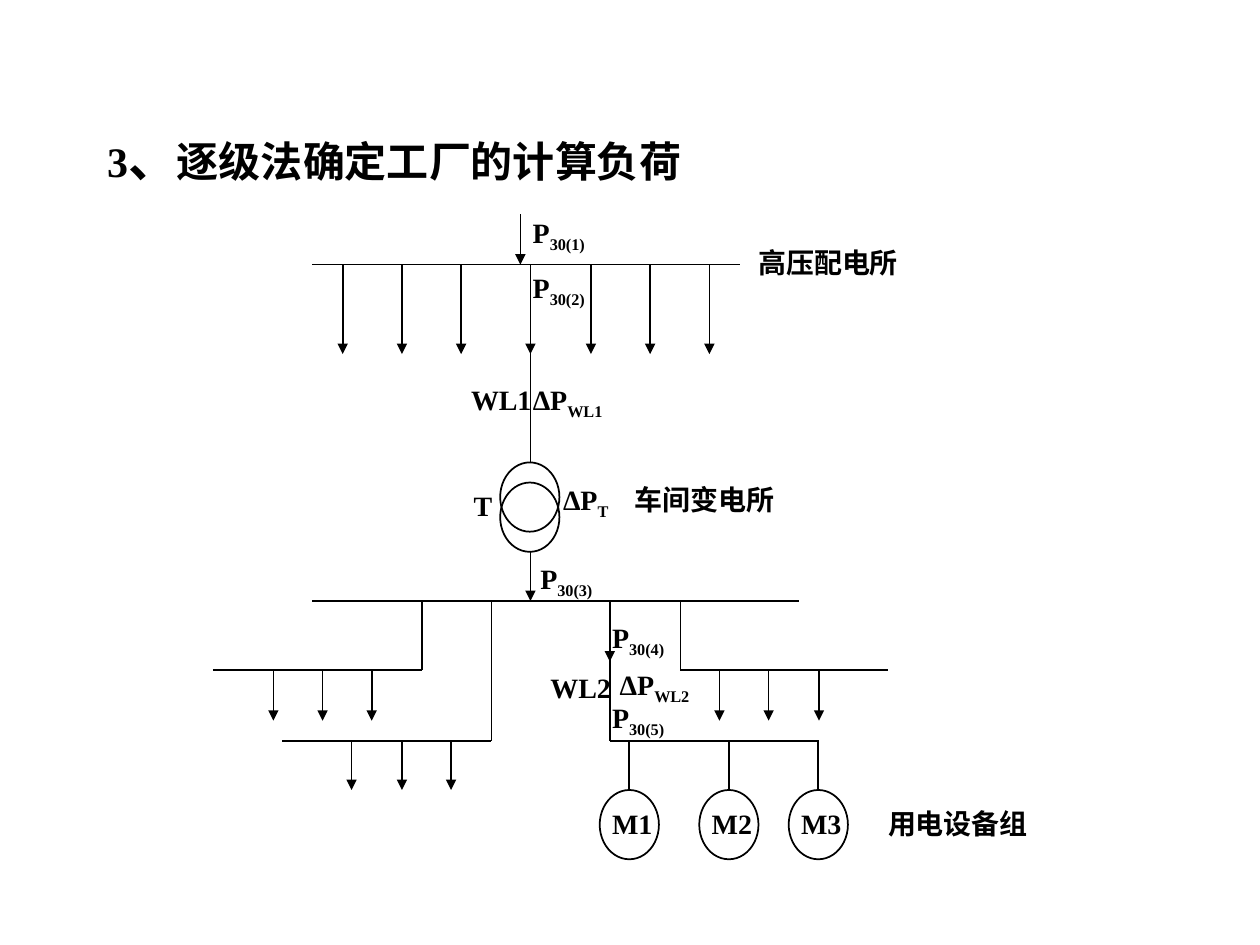
import pptx
import pptx.util
import pptx.dml.color
import pptx.enum.shapes
import pptx.enum.text
import pptx.oxml
import pptx.oxml.ns
from lxml import etree

Inches = pptx.util.Inches
COLORS = {"ink": "000000", "paper": "FFFFFF"}
LATIN_FONT = "Times New Roman"
CHINESE_FONT = "Noto Sans CJK SC"
CIRCLE_WIDTH, CIRCLE_HEIGHT = 0.47, 0.55
LABEL_HEIGHT = 0.37

HIGH_BUS, LOW_BUS, UPPER_BRANCH, LOWER_BRANCH = 2.1, 4.77, 5.32, 5.88
MAIN_FEED, MOTOR_FEED = 4.21, 4.84
MOTOR_TOP = 6.27

BUSES = [
    (2.48, 5.87, HIGH_BUS),
    (2.48, 6.34, LOW_BUS),
    (1.69, 3.35, UPPER_BRANCH),
    (5.4, 7.05, UPPER_BRANCH),
    (2.24, 3.9, LOWER_BRANCH),
    (MOTOR_FEED, 6.5, LOWER_BRANCH),
]
RISERS = [
    (MAIN_FEED, 2.73, 3.67),
    (3.35, LOW_BUS, UPPER_BRANCH),
    (5.4, LOW_BUS, UPPER_BRANCH),
    (3.9, LOW_BUS, LOWER_BRANCH),
    (MOTOR_FEED, LOW_BUS, LOWER_BRANCH),
]
FEEDER_ROWS = [
    ([2.72, 3.19, 3.66, MAIN_FEED, 4.69, 5.16, 5.63], HIGH_BUS, 2.81),
    ([2.17, 2.56, 2.95, 5.71, 6.1, 6.5], UPPER_BRANCH, 5.72),
    ([2.79, 3.19, 3.58], LOWER_BRANCH, 6.27),
    ([4.13], 1.7, HIGH_BUS),
    ([MAIN_FEED], 4.38, LOW_BUS),
    ([MOTOR_FEED], 5.17, 5.25),
]
MOTORS = [("M1", 4.76), ("M2", 5.55), ("M3", 6.26)]
QUANTITIES = [
    ("P", "30(1)", 4.13, 1.66, 0.73),
    ("P", "30(2)", 4.13, 2.1, 0.73),
    ("WL1", "", 3.64, 2.99, 0.73),
    ("ΔP", "WL1", 4.13, 2.99, 0.81),
    ("T", "", 3.66, 3.83, 0.39),
    ("ΔP", "T", 4.37, 3.78, 0.79),
    ("P", "30(3)", 4.19, 4.41, 0.73),
    ("P", "30(4)", 4.76, 4.88, 0.73),
    ("WL2", "", 4.27, 5.27, 0.73),
    ("ΔP", "WL2", 4.82, 5.25, 0.81),
    ("P", "30(5)", 4.76, 5.51, 0.73),
]
STATIONS = [
    ("高压配电所", 5.92, 1.9),
    ("车间变电所", 4.94, 3.78),
    ("用电设备组", 6.95, 6.35),
]


def ink(name):
    return pptx.dml.color.RGBColor.from_string(COLORS[name])


def format_span(span, size, latin=LATIN_FONT):
    span.font.size = pptx.util.Pt(size)
    span.font.bold = True
    span.font.name = latin
    span.font.color.rgb = ink("ink")
    east_asian = etree.SubElement(span.font._element, pptx.oxml.ns.qn("a:ea"))
    east_asian.set("typeface", CHINESE_FONT)


def add_span(para, text, size, latin=LATIN_FONT):
    span = para.add_run()
    span.text = text
    format_span(span, size, latin)
    return span


def add_title(page):
    title = page.shapes.title
    title.left, title.top = Inches(0.75), Inches(0.99)
    title.width, title.height = Inches(5.73), Inches(0.55)
    frame = title.text_frame
    frame.auto_size = pptx.enum.text.MSO_AUTO_SIZE.NONE
    frame.vertical_anchor = pptx.enum.text.MSO_ANCHOR.BOTTOM
    para = frame.paragraphs[0]
    para.alignment = pptx.enum.text.PP_ALIGN.LEFT
    add_span(para, "3", 24)
    add_span(para, "、", 28)
    add_span(para, "逐级法确定工厂的计算负荷", 24, CHINESE_FONT)


def add_line(page, start, end, arrow=False):
    points = [Inches(value) for value in (*start, *end)]
    line = page.shapes.add_connector(pptx.enum.shapes.MSO_CONNECTOR.STRAIGHT, *points)
    line.line.color.rgb = ink("ink")
    line.line.width = pptx.util.Pt(1)
    if arrow:
        tail = etree.SubElement(line.line._get_or_add_ln(), pptx.oxml.ns.qn("a:tailEnd"))
        tail.set("type", "triangle")
    etree.SubElement(line._element.spPr, pptx.oxml.ns.qn("a:effectLst"))
    return line


def add_circle(page, left, top):
    circle = page.shapes.add_shape(
        pptx.enum.shapes.MSO_SHAPE.OVAL,
        Inches(left), Inches(top), Inches(CIRCLE_WIDTH), Inches(CIRCLE_HEIGHT))
    circle.shadow.inherit = False
    circle.fill.background()
    circle.line.color.rgb = ink("ink")
    circle.line.width = pptx.util.Pt(1)
    return circle


def add_label(page, text, left, top, width, subscript="", wrap=True):
    box = page.shapes.add_textbox(
        Inches(left), Inches(top), Inches(width), Inches(LABEL_HEIGHT))
    box.text_frame.word_wrap = wrap
    para = box.text_frame.paragraphs[0]
    add_span(para, text, 16)
    if subscript:
        span = add_span(para, subscript, 16)
        span.font._element.set("baseline", "-25000")


def add_motor(page, name, left):
    circle = add_circle(page, left, MOTOR_TOP)
    center = left + CIRCLE_WIDTH / 2
    stem = add_line(page, (center, LOWER_BRANCH), (center, MOTOR_TOP))
    stem.end_connect(circle, 0)
    add_label(page, name, left, 6.35, 0.55)


def main():
    deck = pptx.Presentation()
    deck.slide_width, deck.slide_height = Inches(10), Inches(7.5)
    page = deck.slides.add_slide(deck.slide_layouts[5])
    page.background.fill.solid()
    page.background.fill.fore_color.rgb = ink("paper")
    add_title(page)
    for left, right, level in BUSES:
        add_line(page, (left, level), (right, level))
    for x, top, bottom in RISERS:
        add_line(page, (x, top), (x, bottom))
    for positions, top, bottom in FEEDER_ROWS:
        for x in positions:
            add_line(page, (x, top), (x, bottom), arrow=True)
    for top in (3.67, 3.83):
        add_circle(page, 3.97, top)
    for name, left in MOTORS:
        add_motor(page, name, left)
    for text, subscript, left, top, width in QUANTITIES:
        add_label(page, text, left, top, width, subscript)
    for text, left, top in STATIONS:
        add_label(page, text, left, top, 1.32, wrap=False)
    deck.save("out.pptx")


if __name__ == "__main__":
    main()
